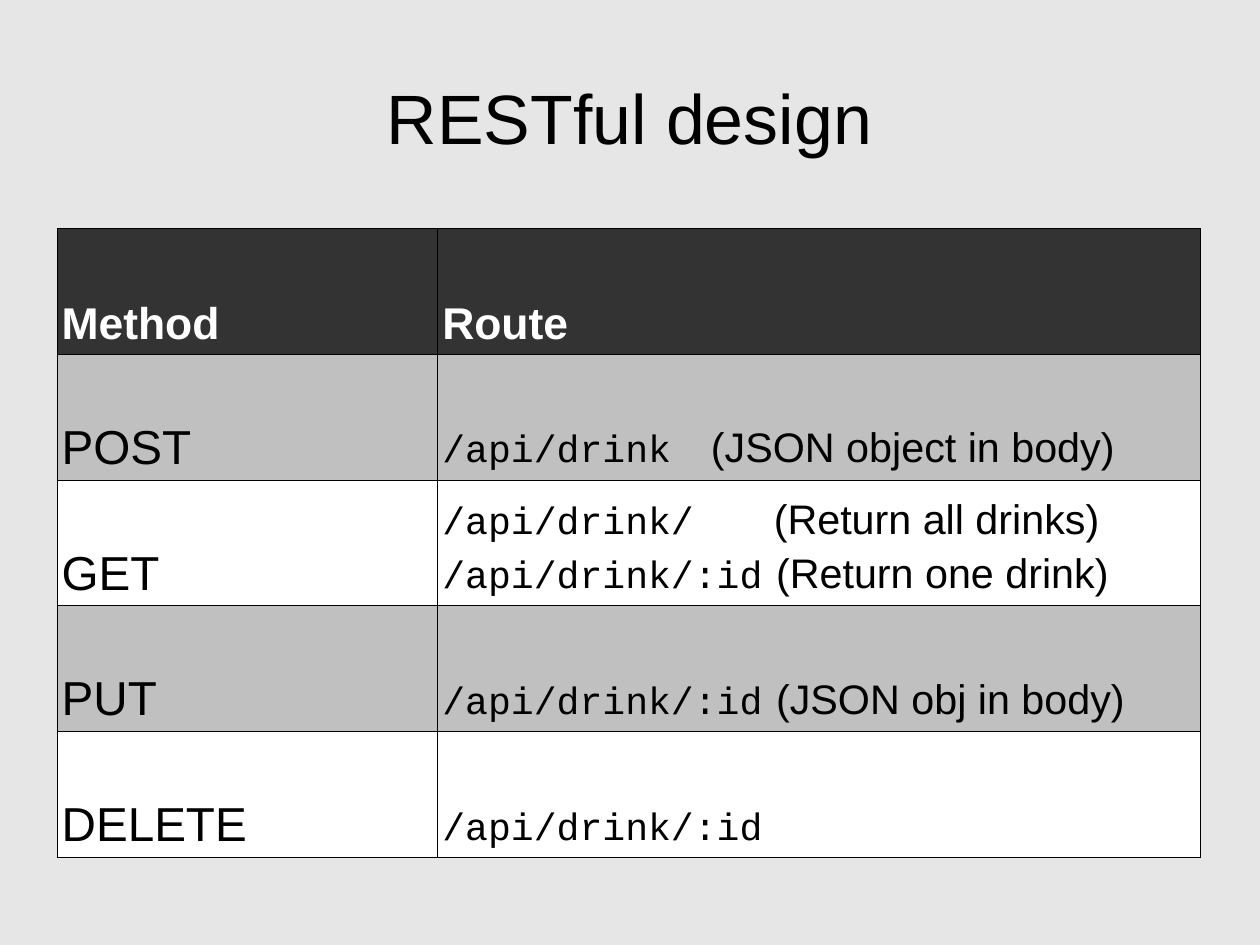
import pptx
import pptx.util
import pptx.dml.color
import pptx.enum.text
import pptx.oxml.ns
import lxml.etree
from dataclasses import dataclass

Inches = pptx.util.Inches
Pt = pptx.util.Pt
Anchor = pptx.enum.text.MSO_ANCHOR

TITLE = "RESTful design"
HEADS = ["Method", "Route"]
# method, then lines of (route, note, inches from route start to note)
ROUTES = [
    ("POST", [("/api/drink", "(JSON object in body)", 2.35)]),
    ("GET", [("/api/drink/", "(Return all drinks)", 2.9),
             ("/api/drink/:id", "(Return one drink)", 2.92)]),
    ("PUT", [("/api/drink/:id", "(JSON obj in body)", 2.92)]),
    ("DELETE", [("/api/drink/:id", "", 0)]),
]
# the page is 28 by 21 cm
PAGE = (28 / 2.54, 21 / 2.54)
WIDTHS = [3.33, 6.67]
ROW = 1.1
LEFT, TOP = 0.5, 2


@dataclass
class Theme:
    back: str = "E6E6E6"
    dark: str = "333333"
    band: str = "C0C0C0"
    white: str = "FFFFFF"
    ink: str = "000000"
    sans: str = "Arial"
    mono: str = "Courier New"
    title: int = 44
    head: int = 28
    body: int = 30
    code: int = 24
    note: int = 26
    line: float = 0.57


theme = Theme()


def color(code):
    return pptx.dml.color.RGBColor.from_string(code)


def add_run(para, text, size, face=theme.sans, ink=theme.ink, bold=False):
    run = para.add_run()
    run.text = text
    run.font.size = Pt(size)
    run.font.name = face
    run.font.bold = bold
    run.font.color.rgb = color(ink)


def add_node(parent, tag, **attrs):
    node = lxml.etree.SubElement(parent, pptx.oxml.ns.qn(tag))
    for key, value in attrs.items():
        node.set(key, str(value))
    return node


def set_tab(para, stop):
    tabs = add_node(para._p.get_or_add_pPr(), "a:tabLst")
    add_node(tabs, "a:tab", pos=Inches(stop), algn="l")


def style_cell(cell, fill):
    """Set border, fill, margins and anchor; borders precede the fill."""
    props = cell._tc.get_or_add_tcPr()
    for side in "LRTB":
        edge = add_node(props, "a:ln" + side, w=Pt(theme.line))
        add_node(add_node(edge, "a:solidFill"), "a:srgbClr", val=theme.ink)
    cell.fill.solid()
    cell.fill.fore_color.rgb = color(fill)
    cell.margin_left = cell.margin_right = Inches(0.04)
    cell.margin_top = cell.margin_bottom = Inches(0.05)
    cell.vertical_anchor = Anchor.BOTTOM


def add_title(slide):
    box = slide.shapes.add_textbox(
        Inches(0.55), Inches(0.33), Inches(9.92), Inches(1.38))
    frame = box.text_frame
    frame.word_wrap = True
    frame.vertical_anchor = Anchor.MIDDLE
    frame.margin_left = frame.margin_right = 0
    frame.margin_top = frame.margin_bottom = 0
    para = frame.paragraphs[0]
    para.alignment = pptx.enum.text.PP_ALIGN.CENTER
    add_run(para, TITLE, theme.title)


def fill_route(frame, lines):
    for i, (route, note, stop) in enumerate(lines):
        para = frame.add_paragraph() if i else frame.paragraphs[0]
        add_run(para, route, theme.code, theme.mono)
        if note:
            set_tab(para, stop)
            add_run(para, "\t", theme.body)
            add_run(para, note, theme.note)


def add_routes(slide):
    count = len(ROUTES) + 1
    table = slide.shapes.add_table(
        count, len(HEADS), Inches(LEFT), Inches(TOP),
        Inches(sum(WIDTHS)), Inches(ROW * count)).table
    table.first_row = table.horz_banding = False
    for col, width in zip(table.columns, WIDTHS):
        col.width = Inches(width)
    for row in table.rows:
        row.height = Inches(ROW)
    for i, head in enumerate(HEADS):
        cell = table.cell(0, i)
        style_cell(cell, theme.dark)
        add_run(cell.text_frame.paragraphs[0], head, theme.head,
                ink=theme.white, bold=True)
    for i, (method, lines) in enumerate(ROUTES, 1):
        left, right = table.cell(i, 0), table.cell(i, 1)
        for cell in (left, right):
            style_cell(cell, theme.band if i % 2 else theme.white)
        add_run(left.text_frame.paragraphs[0], method, theme.body)
        fill_route(right.text_frame, lines)


def main():
    deck = pptx.Presentation()
    deck.slide_width, deck.slide_height = map(Inches, PAGE)
    slide = deck.slides.add_slide(deck.slide_layouts[6])
    slide.background.fill.solid()
    slide.background.fill.fore_color.rgb = color(theme.back)
    add_title(slide)
    add_routes(slide)
    deck.save("out.pptx")


if __name__ == "__main__":
    main()
